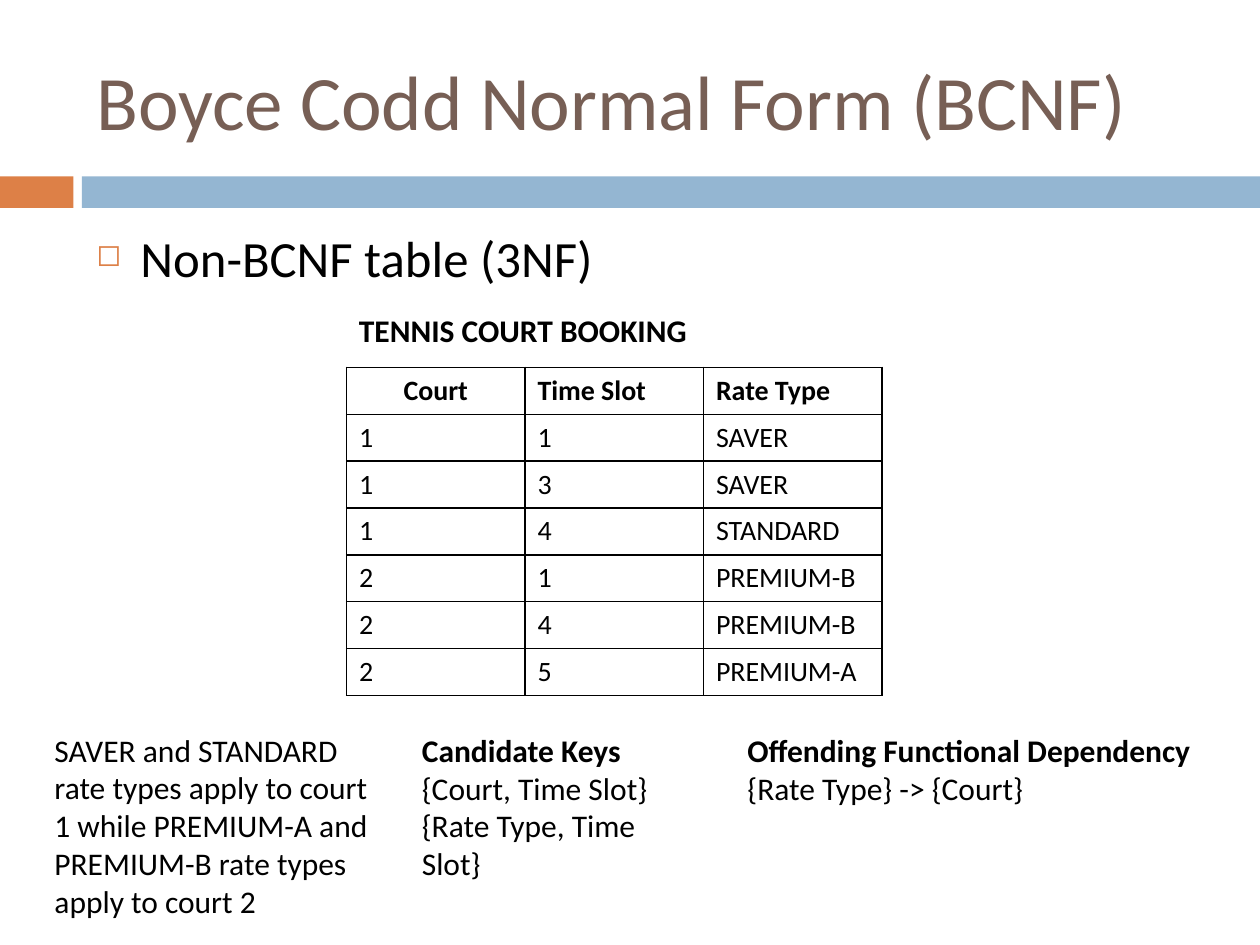
"""Build the Boyce Codd Normal Form slide on a grid of 120 by 90 units."""
import lxml.etree
import pptx
import pptx.dml.color
import pptx.enum.shapes
import pptx.enum.text
import pptx.oxml.ns
import pptx.util

prs = pptx.Presentation()
prs.slide_width = pptx.util.Inches(10)
prs.slide_height = pptx.util.Inches(7.5)
s = prs.slides.add_slide(prs.slide_layouts[6])
U = prs.slide_width / 120
qn = pptx.oxml.ns.qn


def rgb(value):
    return pptx.dml.color.RGBColor.from_string(value)


def add_run(p, text, size, bold=False, color="000000"):
    r = p.add_run()
    r.text = text
    r.font.name = "Calibri"
    r.font.size = pptx.util.Pt(size)
    r.font.bold = bold
    r.font.color.rgb = rgb(color)


for left, width, color in [(0, 7, "DD8047"), (7.8, 112.2, "94B6D2")]:
    sp = s.shapes.add_shape(pptx.enum.shapes.MSO_SHAPE.RECTANGLE,
                            int(left * U), int(16.8 * U), int(width * U), int(3 * U))
    sp.shadow.inherit = False
    sp.fill.solid()
    sp.fill.fore_color.rgb = rgb(color)
    sp.line.fill.background()

texts = [
    (8, 3, 107, 13, 44, "775F55", [("Boyce Codd Normal Form (BCNF)", False)]),
    (8, 21, 107, 59, 29, "000000", [("Non-BCNF table (3NF)", False)]),
    (33, 29, 35.4, 4.8, 18, "000000", [("TENNIS COURT BOOKING", True)]),
    (39, 69, 28.8, 12.1, 18, "000000",
     [("Candidate Keys", True), ("{Court, Time Slot}", False), ("{Rate Type, Time Slot}", False)]),
    (70, 69, 45.7, 8.5, 18, "000000",
     [("Offending Functional Dependency", True), ("{Rate Type} -> {Court}", False)]),
    (4, 69, 34, 19.4, 18, "000000",
     [("SAVER and STANDARD rate types apply to court 1 while "
       "PREMIUM-A and PREMIUM-B rate types apply to court 2", False)]),
]
frames = []
for left, top, width, height, size, color, lines in texts:
    tf = s.shapes.add_textbox(int(left * U), int(top * U), int(width * U), int(height * U)).text_frame
    tf.word_wrap = True
    for i, (text, bold) in enumerate(lines):
        p = tf.add_paragraph() if i else tf.paragraphs[0]
        add_run(p, text, size, bold, color)
    frames.append(tf)

frames[0].vertical_anchor = pptx.enum.text.MSO_ANCHOR.MIDDLE
p = frames[1].paragraphs[0]
p.space_before = pptx.util.Pt(7)
pPr = p._p.get_or_add_pPr()
pPr.set("marL", str(pptx.util.Inches(0.35)))
pPr.set("indent", str(pptx.util.Inches(-0.35)))
buClr = lxml.etree.SubElement(pPr, qn("a:buClr"))
lxml.etree.SubElement(buClr, qn("a:srgbClr"), val="DD8047")
lxml.etree.SubElement(pPr, qn("a:buSzPct"), val="60000")
lxml.etree.SubElement(pPr, qn("a:buChar"), char="◻")

rows = [
    ("Court", "Time Slot", "Rate Type"),
    ("1", "1", "SAVER"),
    ("1", "3", "SAVER"),
    ("1", "4", "STANDARD"),
    ("2", "1", "PREMIUM-B"),
    ("2", "4", "PREMIUM-B"),
    ("2", "5", "PREMIUM-A"),
]
table = s.shapes.add_table(len(rows), 3, int(33 * U), int(35 * U),
                           int(51 * U), int(4.46 * len(rows) * U)).table
table.horz_banding = False
for i, row in enumerate(rows):
    for j, text in enumerate(row):
        cell = table.cell(i, j)
        tcPr = cell._tc.get_or_add_tcPr()
        for side in ("a:lnL", "a:lnR", "a:lnT", "a:lnB"):
            ln = lxml.etree.SubElement(tcPr, qn(side), w=str(pptx.util.Pt(1)))
            fill = lxml.etree.SubElement(ln, qn("a:solidFill"))
            lxml.etree.SubElement(fill, qn("a:srgbClr"), val="000000")
        cell.fill.background()
        add_run(cell.text_frame.paragraphs[0], text, 16, i == 0)
table.cell(0, 0).text_frame.paragraphs[0].alignment = pptx.enum.text.PP_ALIGN.CENTER

prs.save("out.pptx")
